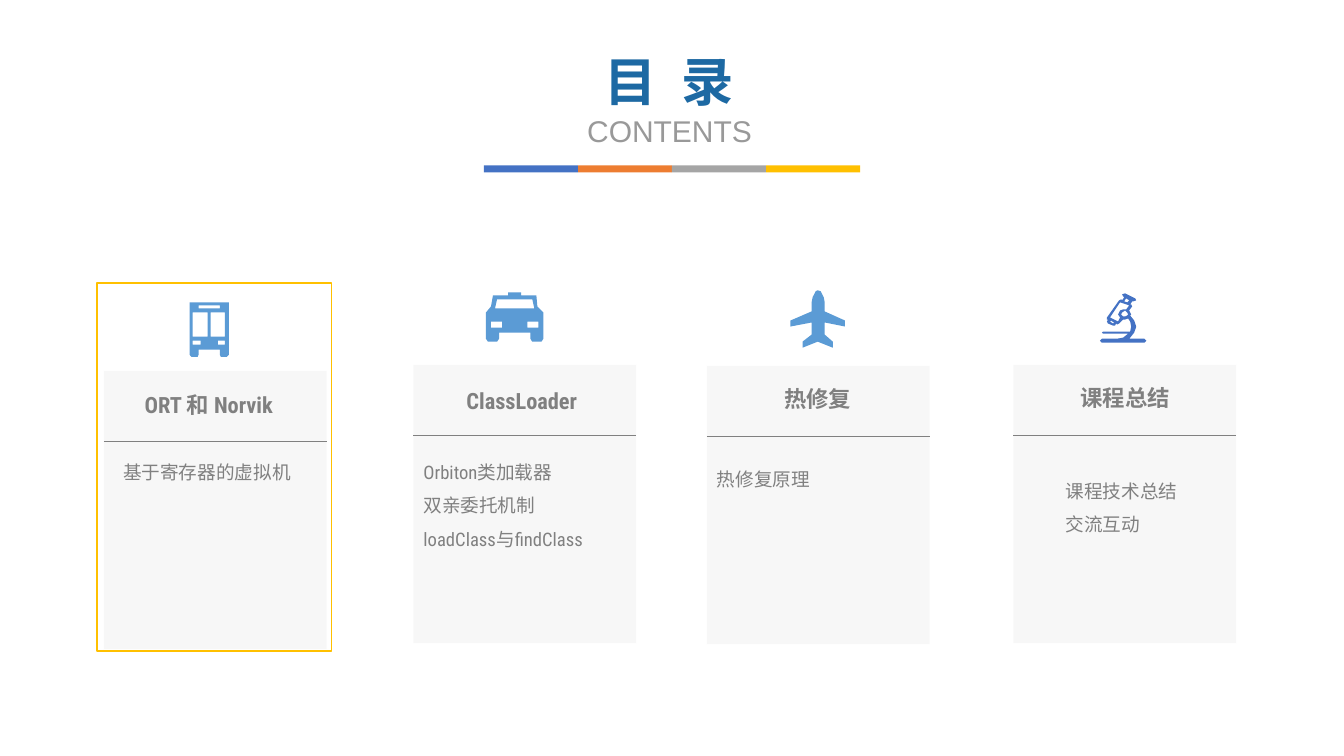
from dataclasses import dataclass

from lxml.etree import SubElement
from pptx import Presentation
from pptx.dml.color import RGBColor
from pptx.enum.shapes import MSO_CONNECTOR as Connector, MSO_SHAPE as Preset
from pptx.enum.text import MSO_ANCHOR as Anchor, MSO_AUTO_SIZE as AutoSize, PP_ALIGN as Align
from pptx.oxml.ns import qn
from pptx.util import Inches, Pt


@dataclass(frozen=True)
class Theme:
    """Fonts, colours and type sizes of the slide."""
    text_font: str = "Roboto Condensed"
    latin_font: str = "Arial"
    title: str = "1D69A3"
    subtitle: str = "999999"
    text: str = "808080"
    card: str = "D9D9D9"
    icon: str = "5B9BD5"
    blue: str = "4472C4"
    orange: str = "ED7D31"
    gray: str = "A5A5A5"
    gold: str = "FFC000"
    title_size: float = 37.4
    subtitle_size: float = 21.4
    heading_size: float = 16
    list_size: float = 13.3


@dataclass(frozen=True)
class Chapter:
    """One column: card corner, heading box, list box and their wording."""
    corner: tuple
    heading: str
    heading_box: tuple
    items: tuple
    list_box: tuple


THEME = Theme()
CARD_WIDTH, CARD_HEIGHT, HEADING_HEIGHT = 2.21, 2.76, 0.7

CHAPTERS = (
    Chapter((1.03, 3.68), "ORT 和 Norvik", (1.24, 3.83, 1.66, 0.37),
            ("基于寄存器的虚拟机",), (1.12, 4.41, 2.21, 0.44)),
    Chapter((4.1, 3.62), "ClassLoader", (4.12, 3.79, 2.11, 0.37),
            ("Orbiton类加载器", "双亲委托机制", "loadClass与findClass"), (4.1, 4.41, 2.3, 1.07)),
    Chapter((7.01, 3.63), "热修复", (7.67, 3.77, 0.88, 0.37),
            ("热修复原理",), (7.01, 4.48, 2.21, 0.4)),
    Chapter((10.05, 3.62), "课程总结", (10.61, 3.76, 1.1, 0.37),
            ("课程技术总结", "交流互动"), (10.47, 4.6, 1.33, 0.77)),
)


def pane(left, top, right, bottom):
    """Return the corners of a rectangular opening."""
    return [(left, top), (right, top), (right, bottom), (left, bottom)]


BUS = (
    [(1.88, 3), (2.27, 3), (2.27, 3.52), (2.25, 3.54), (2.19, 3.54), (2.18, 3.52), (2.18, 3.47),
     (1.97, 3.47), (1.97, 3.52), (1.96, 3.54), (1.9, 3.54), (1.88, 3.52)],
    pane(1.97, 3.03, 2.18, 3.06), pane(1.91, 3.1, 2.06, 3.34), pane(2.09, 3.1, 2.23, 3.34),
    pane(1.91, 3.38, 1.99, 3.42), pane(2.16, 3.38, 2.23, 3.42),
)
TAXI = (
    [(4.84, 3.39), (4.93, 3.39), (4.95, 3.36), (4.95, 3.3), (5.26, 3.3), (5.26, 3.36),
     (5.28, 3.39), (5.37, 3.39), (5.39, 3.36), (5.39, 3.1), (5.33, 3.04), (5.32, 2.93),
     (5.17, 2.93), (5.17, 2.9), (5.04, 2.9), (5.04, 2.93), (4.89, 2.93), (4.87, 3.04),
     (4.82, 3.1), (4.82, 3.36)],
    [(4.93, 2.97), (5.28, 2.97), (5.3, 3.06), (4.91, 3.06)],
    pane(4.87, 3.19, 4.98, 3.25), pane(5.23, 3.19, 5.34, 3.25),
)
PLANE = (
    [(8.11, 2.88), (8.09, 2.89), (8.06, 2.95), (8.05, 3), (8.05, 3.09), (7.84, 3.18),
     (7.84, 3.24), (8.05, 3.2), (8.05, 3.32), (7.96, 3.39), (7.96, 3.45), (8.11, 3.39),
     (8.26, 3.45), (8.26, 3.39), (8.18, 3.32), (8.18, 3.2), (8.38, 3.24), (8.38, 3.18),
     (8.18, 3.09), (8.18, 3), (8.17, 2.95), (8.14, 2.89)],
)
MICROSCOPE = (
    [(11.21, 3.13), (11.25, 3.18), (11.27, 3.24), (11.25, 3.3), (11.21, 3.35), (11.2, 3.36),
     (11.35, 3.36), (11.37, 3.38), (11.35, 3.4), (10.93, 3.4), (10.91, 3.38), (10.93, 3.36),
     (11.08, 3.36), (11.14, 3.35), (11.19, 3.31), (10.94, 3.31), (10.93, 3.3), (10.94, 3.29),
     (11.21, 3.29), (11.22, 3.24), (11.21, 3.19), (11.19, 3.16), (11.16, 3.17), (11.14, 3.17),
     (11.1, 3.21), (11.08, 3.22), (11.07, 3.21), (11.06, 3.23), (11.04, 3.23), (10.99, 3.21),
     (10.98, 3.19), (10.99, 3.17), (10.98, 3.17), (10.98, 3.15), (11.1, 2.98), (11.12, 2.97),
     (11.13, 2.98), (11.15, 2.95), (11.14, 2.94), (11.13, 2.92), (11.16, 2.91), (11.26, 2.96),
     (11.27, 2.98), (11.24, 2.99), (11.23, 2.99), (11.21, 3.02), (11.22, 3.02), (11.23, 3.04),
     (11.2, 3.08), (11.22, 3.12)],
    [(11.2, 2.98), (11.17, 2.96), (11.15, 2.99), (11.18, 3)],
    [(11.17, 3.07), (11.2, 3.03), (11.11, 3), (11.01, 3.15), (11.09, 3.19), (11.11, 3.15),
     (11.09, 3.12), (11.11, 3.08), (11.14, 3.07)],
    [(11.18, 3.1), (11.16, 3.08), (11.13, 3.1), (11.12, 3.12), (11.14, 3.14), (11.16, 3.14),
     (11.18, 3.13), (11.19, 3.12)],
    [(11.02, 3.18), (11.01, 3.19), (11.04, 3.21), (11.05, 3.2)],
)


def paint(shape, color):
    """Give a shape a plain fill without line or shadow."""
    shape.shadow.inherit = False
    shape.fill.solid()
    shape.fill.fore_color.rgb = RGBColor.from_string(color)
    shape.line.fill.background()


def add_rectangle(shapes, *frame):
    """Add a rectangle at a frame given in inches."""
    return shapes.add_shape(Preset.RECTANGLE, *map(Inches, frame))


def add_icon(shapes, contours, color):
    """Draw an icon from closed contours, the later ones being openings."""
    outline, *openings = [[(Inches(x), Inches(y)) for x, y in contour] for contour in contours]
    builder = shapes.build_freeform(*outline[0])
    builder.add_line_segments(outline[1:])
    for opening in openings:
        builder.move_to(*opening[0])
        builder.add_line_segments(opening[1:])
    paint(builder.convert_to_shape(), color)


def add_color_strip(slide):
    """Draw the four-colour strip under the title."""
    strip = slide.shapes.add_group_shape()
    width = 3.73 / 4
    for index, color in enumerate((THEME.blue, THEME.orange, THEME.gray, THEME.gold)):
        paint(add_rectangle(strip.shapes, 4.8 + index * width, 1.64, width, 0.07), color)


def add_card(slide, left, top):
    """Draw a translucent card with its divider."""
    group = slide.shapes.add_group_shape()
    card = add_rectangle(group.shapes, left, top, CARD_WIDTH, CARD_HEIGHT)
    paint(card, THEME.card)
    color = card._element.spPr.find(qn("a:solidFill"))[0]
    SubElement(color, qn("a:alpha")).set("val", "20000")
    height = Inches(top + HEADING_HEIGHT)
    divider = group.shapes.add_connector(
        Connector.STRAIGHT, Inches(left), height, Inches(left + CARD_WIDTH), height)
    divider.line.color.rgb = RGBColor.from_string(THEME.text)
    divider.line.width = Pt(0.5)
    SubElement(divider._element.spPr, qn("a:effectLst"))


def place(box, frame):
    """Move a text shape to the front and set its frame and text flow."""
    box.left, box.top, box.width, box.height = map(Inches, frame)
    box.text_frame.word_wrap = True
    box.text_frame.vertical_anchor = Anchor.TOP
    box.text_frame.auto_size = AutoSize.SHAPE_TO_FIT_TEXT
    box._element.getparent().append(box._element)


def write_line(box, index, text, size, color=THEME.text, font=THEME.text_font,
               bold=False, align=Align.CENTER, spacing=1.0):
    """Write one unbulleted paragraph into a text shape."""
    frame = box.text_frame
    para = frame.add_paragraph() if index else frame.paragraphs[0]
    para.alignment, para.line_spacing = align, spacing
    para.space_before = para.space_after = Pt(0)
    properties = para._p.get_or_add_pPr()
    properties.set("marL", "0")
    properties.set("indent", "0")
    SubElement(properties, qn("a:buNone"))
    span = para.add_run()
    span.text = text
    span.font.name, span.font.size, span.font.bold = font, Pt(size), bold
    span.font.color.rgb = RGBColor.from_string(color)
    SubElement(span.font._element, qn("a:ea")).set("typeface", font)


def add_chapter(slide, chapter, body):
    """Build one column with card, heading and list."""
    add_card(slide, *chapter.corner)
    heading = slide.shapes.add_textbox(0, 0, 0, 0)
    place(heading, chapter.heading_box)
    write_line(heading, 0, chapter.heading, THEME.heading_size, bold=True)
    place(body, chapter.list_box)
    for index, item in enumerate(chapter.items):
        write_line(body, index, item, THEME.list_size, align=Align.LEFT, spacing=1.5)


def main():
    """Build the contents slide and save it."""
    deck = Presentation()
    deck.slide_width, deck.slide_height = Inches(13.33), Inches(7.5)
    page = deck.slides.add_slide(deck.slide_layouts.get_by_name("Comparison"))
    title, *bodies = page.placeholders
    add_color_strip(page)
    place(title, (5.56, 0.44, 2.16, 1.09))
    write_line(title, 0, "目  录", THEME.title_size, THEME.title, bold=True)
    write_line(title, 1, "CONTENTS", THEME.subtitle_size, THEME.subtitle, THEME.latin_font)
    for chapter, body in zip(CHAPTERS, bodies):
        add_chapter(page, chapter, body)
    for contours in (BUS, TAXI, PLANE):
        add_icon(page.shapes, contours, THEME.icon)
    add_icon(page.shapes, MICROSCOPE, THEME.blue)
    highlight = add_rectangle(page.shapes, 0.96, 2.81, 2.33, 3.65)
    highlight.shadow.inherit = False
    highlight.fill.background()
    highlight.line.color.rgb = RGBColor.from_string(THEME.gold)
    highlight.line.width = Pt(1.25)
    deck.save("out.pptx")


if __name__ == "__main__":
    main()
